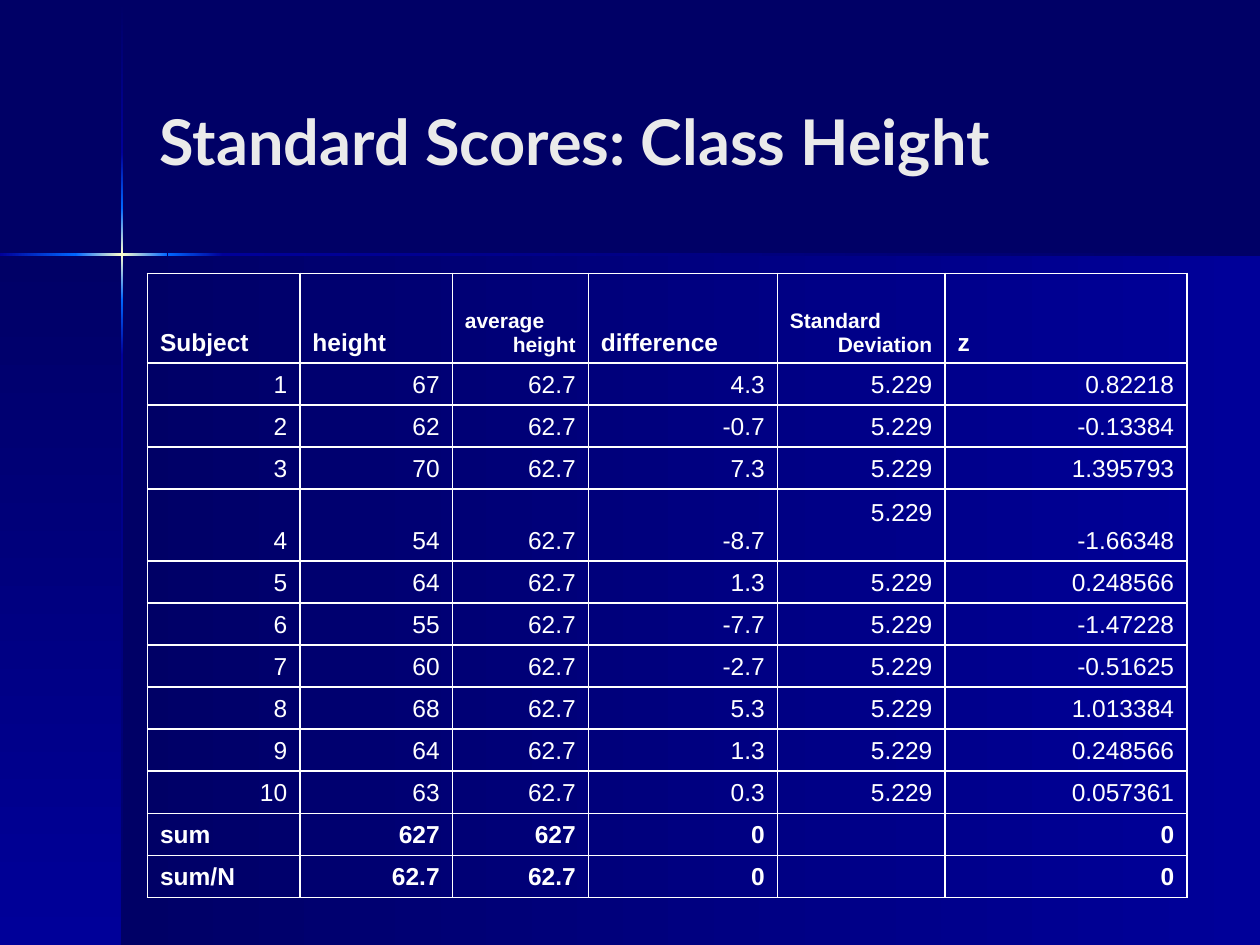
from copy import deepcopy

from lxml.etree import SubElement
from pptx import Presentation
from pptx.dml.color import RGBColor
from pptx.enum.shapes import MSO_SHAPE
from pptx.enum.text import MSO_ANCHOR, PP_ALIGN
from pptx.oxml.ns import qn
from pptx.util import Inches, Pt

NAVY = RGBColor(0x00, 0x00, 0x66)
BLUE = RGBColor(0x00, 0x00, 0x99)
AZURE = RGBColor(0x00, 0x66, 0xFF)
CREAM = RGBColor(0xFF, 0xFF, 0xCC)
PALE = RGBColor(0xEA, 0xEA, 0xEA)
WHITE = RGBColor(0xFF, 0xFF, 0xFF)

WIDTH, HEIGHT = 10, 7.5
CROSS_X, CROSS_Y = 0.97, 2.02
RAY_THICKNESS = 0.02
RIGHTWARD, DOWNWARD = 0, 270

# Each ray piece runs from one position to the next through its colours.
ACROSS = [
    (0, 0.6, [BLUE, AZURE]),
    (0.6, 1.33, [AZURE, CREAM, AZURE]),
    (1.33, 1.77, [AZURE, BLUE]),
    (1.77, WIDTH, [BLUE, NAVY]),
]
DOWN = [
    (0.01, 1.21, [NAVY, BLUE]),
    (1.21, 1.65, [BLUE, AZURE]),
    (1.65, 2.38, [AZURE, CREAM, AZURE]),
    (2.38, 2.82, [AZURE, BLUE]),
    (2.82, HEIGHT, [BLUE, NAVY]),
]

HEADINGS = ["Subject", "height", "average height", "difference",
            "Standard Deviation", "z"]
COLUMN_WIDTHS = [1.21, 1.21, 1.08, 1.5, 1.33, 1.92]
HEADER_HEIGHT, ROW_HEIGHT, TALL_HEIGHT = 0.71, 0.33, 0.57
TALL_ROW, DEVIATION_COLUMN = 4, 4
AVERAGE, DEVIATION = 62.7, 5.229
SCORES = [
    (67, "0.82218"), (62, "-0.13384"), (70, "1.395793"), (54, "-1.66348"),
    (64, "0.248566"), (55, "-1.47228"), (60, "-0.51625"), (68, "1.013384"),
    (64, "0.248566"), (63, "0.057361"),
]
TOTALS = [["sum", "627", "627", "0", "", "0"],
          ["sum/N", "62.7", "62.7", "0", "", "0"]]


def add_gradient_box(slide, left, top, width, height, colours, angle):
    box = slide.shapes.add_shape(MSO_SHAPE.RECTANGLE, Inches(left), Inches(top),
                                 Inches(width), Inches(height))
    box.shadow.inherit = False
    box.line.fill.background()
    box.fill.gradient()
    box.fill.gradient_angle = angle
    stop_list = box.fill.gradient_stops[0]._gs.getparent()
    while len(stop_list) < len(colours):
        stop_list.append(deepcopy(stop_list[0]))
    for index, (stop, colour) in enumerate(zip(box.fill.gradient_stops, colours)):
        stop.color.rgb = colour
        stop.position = index / (len(colours) - 1)


def add_backdrop(slide):
    """Dark background, two shaded panels and the glowing cross between them."""
    slide.background.fill.solid()
    slide.background.fill.fore_color.rgb = NAVY
    panel_height = HEIGHT - CROSS_Y
    add_gradient_box(slide, CROSS_X, CROSS_Y, WIDTH - CROSS_X, panel_height,
                     [NAVY, BLUE], RIGHTWARD)
    add_gradient_box(slide, 0, CROSS_Y, CROSS_X, panel_height,
                     [NAVY, BLUE], DOWNWARD)
    half = RAY_THICKNESS / 2
    for start, end, colours in DOWN:
        add_gradient_box(slide, CROSS_X - half, start, RAY_THICKNESS, end - start,
                         colours, DOWNWARD)
    for start, end, colours in ACROSS:
        add_gradient_box(slide, start, CROSS_Y - half, end - start, RAY_THICKNESS,
                         colours, RIGHTWARD)


def set_font(font, **values):
    colour = values.pop("colour")
    for name, value in values.items():
        setattr(font, name, value)
    font.color.rgb = colour


def add_title(slide, left, top, width, height):
    title = slide.shapes.add_textbox(Inches(left), Inches(top),
                                     Inches(width), Inches(height)).text_frame
    title.word_wrap = True
    title.vertical_anchor = MSO_ANCHOR.MIDDLE
    run = title.paragraphs[0].add_run()
    run.text = "Standard Scores: Class Height"
    set_font(run.font, name="Lato", size=Pt(36), bold=True, colour=PALE)


def add_borders(cell):
    properties = cell._tc.get_or_add_tcPr()
    for position, side in enumerate(("a:lnL", "a:lnR", "a:lnT", "a:lnB")):
        line = SubElement(properties, qn(side), w=str(Pt(1)))
        fill = SubElement(line, qn("a:solidFill"))
        SubElement(fill, qn("a:srgbClr"), val=str(WHITE))
        properties.insert(position, line)


def fill_cell(cell, text, size, bold, align):
    cell.fill.background()
    add_borders(cell)
    cell.vertical_anchor = MSO_ANCHOR.BOTTOM
    paragraph = cell.text_frame.paragraphs[0]
    paragraph.alignment = align
    if not text:
        SubElement(paragraph._p, qn("a:endParaRPr"), sz=str(size * 100))
        return
    indents = paragraph._p.get_or_add_pPr()
    indents.set("marL", str(Inches(0.38)))
    indents.set("indent", str(Inches(-0.38)))
    run = paragraph.add_run()
    run.text = text
    set_font(run.font, name="Arial", size=Pt(size), bold=bold, colour=WHITE)


def score_rows():
    return [[str(subject), str(height), str(AVERAGE), f"{height - AVERAGE:.1f}",
             str(DEVIATION), z]
            for subject, (height, z) in enumerate(SCORES, start=1)]


def add_scores_table(slide, left, top, width, height):
    rows = [HEADINGS] + score_rows() + TOTALS
    table = slide.shapes.add_table(len(rows), len(HEADINGS), Inches(left), Inches(top),
                                   Inches(width), Inches(height)).table
    table.first_row = table.horz_banding = False
    for column, column_width in zip(table.columns, COLUMN_WIDTHS):
        column.width = Inches(column_width)
    special_heights = {0: HEADER_HEIGHT, TALL_ROW: TALL_HEIGHT}
    for r, texts in enumerate(rows):
        table.rows[r].height = Inches(special_heights.get(r, ROW_HEIGHT))
        is_header, is_total = r == 0, r > len(SCORES)
        for c, text in enumerate(texts):
            is_label = is_header or (is_total and c == 0)
            fill_cell(table.cell(r, c), text,
                      size=12 if is_header and " " in text else 14,
                      bold=is_header or is_total,
                      align=PP_ALIGN.LEFT if is_label else PP_ALIGN.RIGHT)
    # The deviation in the tall row sits one line above its neighbours.
    table.cell(TALL_ROW, DEVIATION_COLUMN).margin_bottom = Inches(0.27)


def main():
    presentation = Presentation()
    presentation.slide_width = Inches(WIDTH)
    presentation.slide_height = Inches(HEIGHT)
    slide = presentation.slides.add_slide(presentation.slide_layouts[6])
    add_backdrop(slide)
    add_title(slide, 1.17, 0.33, 8.25, 1.57)
    add_scores_table(slide, 1.17, 2.17, 8.25, 4.94)
    presentation.save("out.pptx")


if __name__ == "__main__":
    main()
